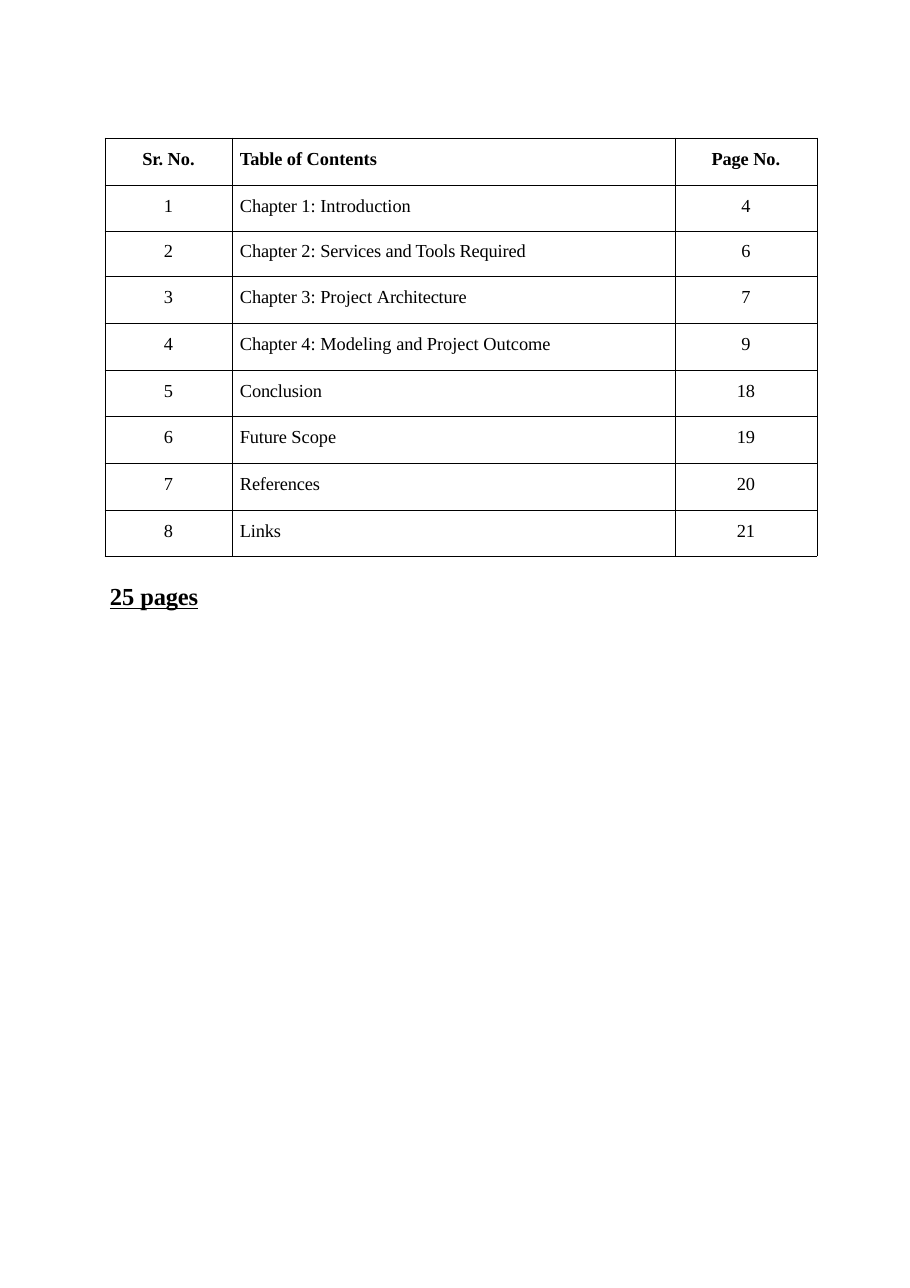
import dataclasses
import typing

import lxml.etree
import pptx
import pptx.dml.color
import pptx.enum.text
import pptx.oxml.ns
import pptx.util

EMU_PER_PX = 8298
BLACK = "000000"
WHITE = "FFFFFF"
FONT_NAME = "Times New Roman"
CENTER = pptx.enum.text.PP_ALIGN.CENTER
LEFT = pptx.enum.text.PP_ALIGN.LEFT

COLUMN_WIDTHS = (127, 443, 142)
COLUMN_ALIGNMENTS = (CENTER, LEFT, CENTER)
ROW_HEIGHTS = (47, 46, 45, 47, 47, 46, 47, 47, 46)
TITLE_INDENT = 8


@dataclasses.dataclass(frozen=True)
class Run:
    text: str
    spacing: float = 0


@dataclasses.dataclass(frozen=True)
class Entry:
    number: tuple[Run, ...]
    title: tuple[Run, ...]
    page: tuple[Run, ...]
    bold: bool = False
    space_before: float = 7.2
    margin_top: int = 11


def tight(text: str) -> Run:
    return Run(text, -0.1)


def chapter(number: int, page: int, *title: Run, **format_values: typing.Any) -> Entry:
    return Entry((Run(str(number)),), title, (Run(str(page)),), **format_values)


ENTRIES = (
    Entry(
        (tight("Sr. "), Run("No.")),
        (tight("Table "), Run("of Contents")),
        (tight("Page "), Run("No.")),
        bold=True,
    ),
    chapter(1, 4, tight("Chapter "), Run("1: Introduction")),
    chapter(2, 6, tight("Chapter "), Run("2: "), tight("Services and Tools Required"),
            space_before=6.8, margin_top=10),
    chapter(3, 7, tight("Chapter "), Run("3: Project "), tight("Architecture")),
    chapter(4, 9, tight("Chapter "), Run("4: Modeling "), tight("and "), Run("Project Outcome")),
    chapter(5, 18, tight("Conclusion")),
    chapter(6, 19, tight("Future "), Run("Scope")),
    chapter(7, 20, tight("References")),
    chapter(8, 21, tight("Links")),
)
PAGE_COUNT = (Run("25"), Run(" ", -0.7), tight("pages"))


def px(length: int) -> pptx.util.Emu:
    return pptx.util.Emu(length * EMU_PER_PX)


def color(value: str) -> pptx.dml.color.RGBColor:
    return pptx.dml.color.RGBColor.from_string(value)


def apply_format(target: typing.Any, format_values: dict[str, typing.Any]) -> None:
    for name, value in format_values.items():
        setattr(target, name, value)


def write_paragraph(
    paragraph: typing.Any,
    runs: tuple[Run, ...],
    paragraph_format: dict[str, typing.Any],
    font_format: dict[str, typing.Any],
    indent: int = 0,
) -> None:
    apply_format(paragraph, paragraph_format)
    properties = paragraph._p.get_or_add_pPr()
    properties.set("marL", str(px(indent)))
    properties.set("indent", "0")
    for item in runs:
        run = paragraph.add_run()
        run.text = item.text
        apply_format(run.font, {"name": FONT_NAME, **font_format})
        run.font.color.rgb = color(BLACK)
        run._r.get_or_add_rPr().set("spc", str(round(item.spacing * 100)))


def add_borders(cell: typing.Any) -> None:
    properties = cell._tc.get_or_add_tcPr()
    qualify = pptx.oxml.ns.qn
    for side in ("a:lnL", "a:lnR", "a:lnT", "a:lnB"):
        line = lxml.etree.SubElement(properties, qualify(side), w=str(pptx.util.Pt(0.5)))
        fill = lxml.etree.SubElement(line, qualify("a:solidFill"))
        lxml.etree.SubElement(fill, qualify("a:srgbClr"), val=BLACK)


def add_contents(slide: typing.Any) -> None:
    frame = slide.shapes.add_table(
        len(ENTRIES), len(COLUMN_WIDTHS), px(105), px(138),
        px(sum(COLUMN_WIDTHS)), px(sum(ROW_HEIGHTS)),
    )
    table = frame.table
    apply_format(table, {"first_row": False, "horz_banding": False})
    for column, width in zip(table.columns, COLUMN_WIDTHS):
        column.width = px(width)
    for row, height, entry in zip(table.rows, ROW_HEIGHTS, ENTRIES):
        row.height = px(height)
        texts = (entry.number, entry.title, entry.page)
        for cell, runs, alignment in zip(row.cells, texts, COLUMN_ALIGNMENTS):
            apply_format(cell, {
                "margin_left": 0,
                "margin_top": px(entry.margin_top),
                "margin_right": 0,
                "margin_bottom": 0,
                "vertical_anchor": pptx.enum.text.MSO_ANCHOR.TOP,
            })
            add_borders(cell)
            cell.fill.background()
            write_paragraph(
                cell.text_frame.paragraphs[0],
                runs,
                {"alignment": alignment, "space_before": pptx.util.Pt(entry.space_before)},
                {"size": pptx.util.Pt(12), "bold": entry.bold},
                TITLE_INDENT if alignment == LEFT else 0,
            )


def add_page_count(slide: typing.Any) -> None:
    shape = slide.shapes.add_textbox(px(109), px(580), px(93), px(32))
    apply_format(shape.text_frame, {
        "margin_left": 0,
        "margin_top": px(1),
        "margin_right": 0,
        "margin_bottom": 0,
        "word_wrap": True,
        "auto_size": pptx.enum.text.MSO_AUTO_SIZE.SHAPE_TO_FIT_TEXT,
    })
    write_paragraph(
        shape.text_frame.paragraphs[0],
        PAGE_COUNT,
        {"alignment": LEFT, "space_before": pptx.util.Pt(1)},
        {"size": pptx.util.Pt(16), "bold": True, "underline": True},
        1,
    )


def main() -> None:
    presentation = pptx.Presentation()
    apply_format(presentation, {"slide_width": px(910), "slide_height": px(1288)})
    slide = presentation.slides.add_slide(presentation.slide_layouts[6])
    slide.background.fill.solid()
    slide.background.fill.fore_color.rgb = color(WHITE)
    add_contents(slide)
    add_page_count(slide)
    presentation.save("out.pptx")


if __name__ == "__main__":
    main()
